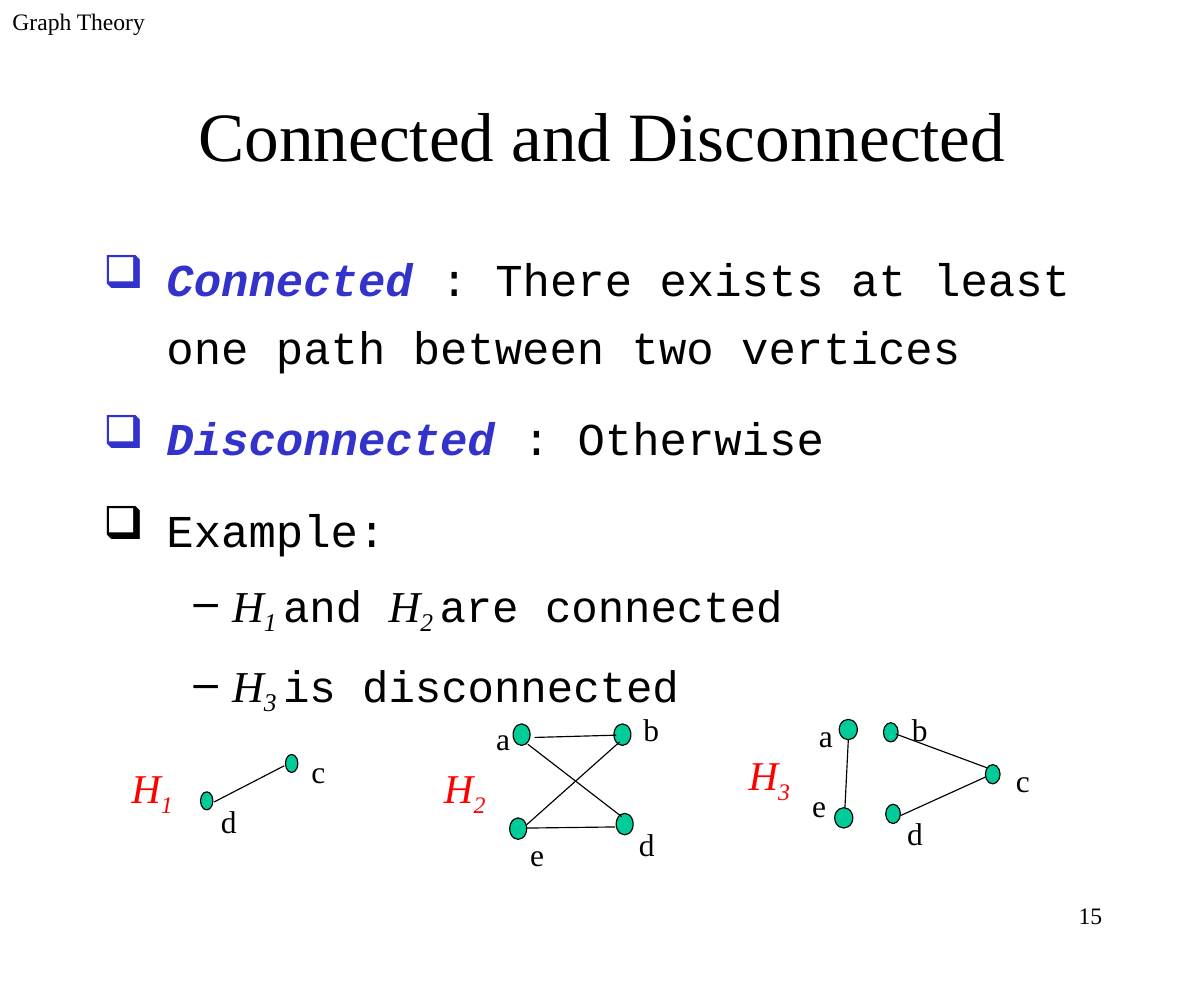
from dataclasses import dataclass

from lxml import etree
from pptx import Presentation
from pptx.dml.color import RGBColor
from pptx.enum.shapes import MSO_CONNECTOR, MSO_SHAPE
from pptx.enum.text import MSO_ANCHOR, PP_ALIGN
from pptx.oxml.ns import qn
from pptx.util import Inches, Pt

LEFT, CENTER, RIGHT = PP_ALIGN.LEFT, PP_ALIGN.CENTER, PP_ALIGN.RIGHT
TOP, MIDDLE = MSO_ANCHOR.TOP, MSO_ANCHOR.MIDDLE
ELLIPSE, STRAIGHT = MSO_SHAPE.OVAL, MSO_CONNECTOR.STRAIGHT


@dataclass(frozen=True)
class Theme:
    serif: str = "Times New Roman"
    mono: str = "Courier New"
    black: RGBColor = RGBColor(0, 0, 0)
    blue: RGBColor = RGBColor(0x33, 0x33, 0xCC)
    red: RGBColor = RGBColor(0xFF, 0, 0)
    green: RGBColor = RGBColor(0, 0xCC, 0x99)
    small: int = 15
    title: int = 44
    body: int = 29
    sub: int = 28
    node: int = 20
    graph: int = 26


theme = Theme()


def set_frame(sp, box, anchor=TOP):
    """Place a text shape, give it the common insets and return its frame."""
    sp.left, sp.top, sp.width, sp.height = map(Inches, box)
    tf = sp.text_frame
    tf.word_wrap = True
    tf.vertical_anchor = anchor
    tf.margin_left = tf.margin_right = Inches(0.11)
    tf.margin_top = tf.margin_bottom = Inches(0.06)
    return tf


def add_run(p, text, size, font=theme.serif, color=theme.black,
            bold=False, italic=False, baseline=0):
    r = p.add_run()
    r.text = text
    r.font.size, r.font.name = Pt(size), font
    r.font.bold, r.font.italic = bold, italic
    r.font.color.rgb = color
    if baseline:
        r.font._element.set("baseline", str(baseline * 1000))


prs = Presentation()
prs.slide_width, prs.slide_height = Inches(10.63), Inches(8.66)
slide = prs.slides.add_slide(prs.slide_layouts[5])
shapes = slide.shapes

# Title, header and page number
tf = set_frame(shapes.title, (0.8, 0.61, 9.04, 1.14), MIDDLE)
tf.paragraphs[0].alignment = CENTER
add_run(tf.paragraphs[0], "Connected and Disconnected", theme.title)

for text, box, align in [("Graph Theory", (0, 0, 2.22, 0.58), LEFT),
                         ("15", (7.62, 7.89, 2.22, 0.58), RIGHT)]:
    p = set_frame(shapes.add_textbox(0, 0, 0, 0), box).paragraphs[0]
    p.alignment = align
    add_run(p, text, theme.small)

# Definitions: (level, space before, bullet colour, runs)
plain = {"font": theme.mono}
term = {"font": theme.mono, "color": theme.blue, "bold": True, "italic": True}
var = {"italic": True}
index = {"italic": True, "baseline": -20}
definitions = [
    (0, 0, theme.blue, [("Connected ", term),
     (": There exists at least one path between two vertices", plain)]),
    (0, 14.5, theme.blue, [("Disconnected ", term), (": Otherwise", plain)]),
    (0, 14.5, theme.black, [("Example:", plain)]),
    (1, 10.5, theme.black, [("H", var), ("1 ", index), ("and ", plain),
     ("H", var), ("2 ", index), ("are connected", plain)]),
    (1, 10.5, theme.black, [("H", var), ("3 ", index),
     ("is disconnected", plain)]),
]
# Per level: bullet, left margin, hanging indent, line spacing, type size
levels = [("❑", 0.56, 0.56, 1.25, theme.body),
          ("–", 1.14, 0.34, 1.1, theme.sub)]
tf = set_frame(shapes.add_textbox(0, 0, 0, 0), (0.8, 2.03, 9.04, 5.87))
for i, (level, before, bullet_color, runs) in enumerate(definitions):
    bullet, margin, hang, spacing, size = levels[level]
    p = tf.paragraphs[0] if i == 0 else tf.add_paragraph()
    p.level, p.line_spacing, p.space_before = level, spacing, Pt(before)
    pPr = p._p.get_or_add_pPr()
    pPr.set("marL", str(Inches(margin)))
    pPr.set("indent", str(-Inches(hang)))
    buClr = etree.SubElement(pPr, qn("a:buClr"))
    etree.SubElement(buClr, qn("a:srgbClr"), val=str(bullet_color))
    etree.SubElement(pPr, qn("a:buChar"), char=bullet)
    for text, style in runs:
        add_run(p, text, size, **style)

# Graphs: node size, node corners, edges, vertex labels, name index and place
graphs = [
    ((0.11, 0.16), [(1.77, 6.99), (2.52, 6.66)],
     [(1.89, 7.08, 2.51, 6.76)],
     [("c", 2.64, 6.58), ("d", 1.84, 7.02)], ("1", 1.05, 6.67)),
    ((0.15, 0.19), [(4.53, 6.39), (4.5, 7.22), (5.42, 6.39), (5.44, 7.18)],
     [(4.65, 7.31, 5.43, 7.3), (4.72, 6.51, 5.44, 6.49),
      (4.65, 7.28, 5.47, 6.55), (4.66, 6.57, 5.49, 7.21)],
     [("a", 4.27, 6.29), ("b", 5.57, 6.21), ("d", 5.53, 7.22),
      ("e", 4.57, 7.31)], ("2", 3.81, 6.67)),
    ((0.16, 0.18), [(7.41, 6.35), (7.37, 7.13)],
     [(7.49, 6.53, 7.46, 7.13)],
     [("a", 7.12, 6.26), ("e", 7.06, 6.88)], ("3", 6.5, 6.56)),
    ((0.13, 0.17), [(7.8, 6.38), (7.82, 7.1), (8.7, 6.75)],
     [(7.95, 7.2, 8.7, 6.86), (7.91, 6.48, 8.72, 6.78)],
     [("b", 7.94, 6.21), ("c", 8.86, 6.66), ("d", 7.9, 7.13)], None),
]
for node_size, nodes, edges, labels, name in graphs:
    for corner in nodes:
        sp = shapes.add_shape(ELLIPSE, *map(Inches, corner + node_size))
        sp.shadow.inherit = False
        sp.fill.solid()
        sp.fill.fore_color.rgb = theme.green
        sp.line.color.rgb, sp.line.width = theme.black, Pt(0.75)
    for ends in edges:
        edge = shapes.add_connector(STRAIGHT, *map(Inches, ends))
        edge.line.color.rgb, edge.line.width = theme.black, Pt(0.75)
        etree.SubElement(edge._element.spPr, qn("a:effectLst"))
    for text, x, y in labels:
        tf = set_frame(shapes.add_textbox(0, 0, 0, 0), (x, y, 0.41, 0.44))
        add_run(tf.paragraphs[0], text, theme.node)
    if name:
        number, x, y = name
        tf = set_frame(shapes.add_textbox(0, 0, 0, 0), (x, y, 1.08, 0.6))
        add_run(tf.paragraphs[0], "H", theme.graph, color=theme.red, italic=True)
        add_run(tf.paragraphs[0], number, theme.graph, color=theme.red,
                italic=True, baseline=-25)

prs.save("out.pptx")
